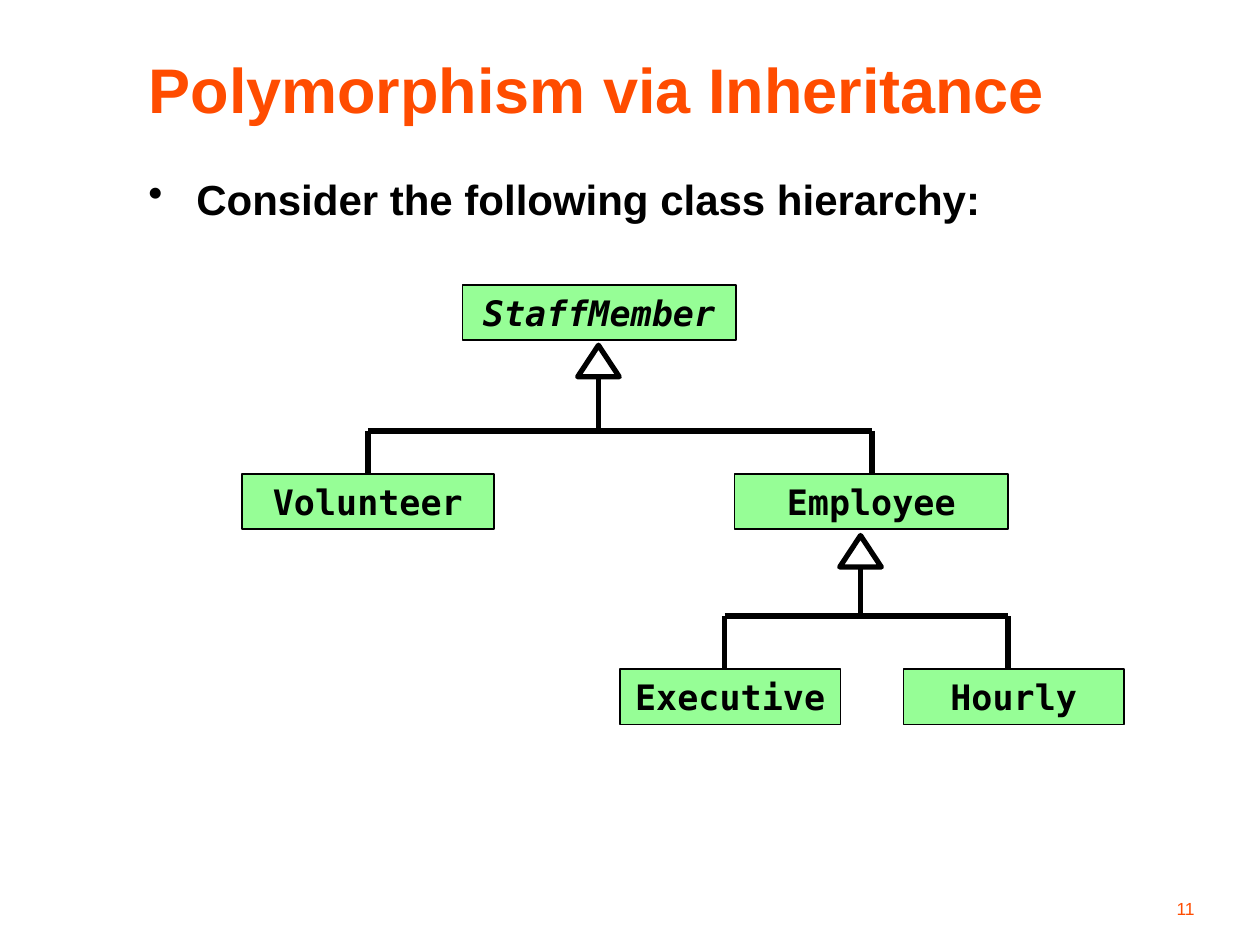
import pptx
import pptx.dml.color
import pptx.enum.shapes
import pptx.enum.text
import pptx.oxml.ns
import pptx.util
from lxml import etree

Inches = pptx.util.Inches
RGBColor = pptx.dml.color.RGBColor
SHAPE = pptx.enum.shapes.MSO_SHAPE
ALIGN = pptx.enum.text.PP_ALIGN
ANCHOR = pptx.enum.text.MSO_ANCHOR
AUTO_SIZE = pptx.enum.text.MSO_AUTO_SIZE

ORANGE = RGBColor(0xFF, 0x4C, 0x00)
GREEN = RGBColor(0x96, 0xFE, 0x96)
BLACK = RGBColor(0, 0, 0)

TITLE_FONT = {"name": "Arial", "size": 36, "bold": True, "color": ORANGE}
BODY_FONT = {"name": "Arial", "size": 24, "bold": True, "color": BLACK}
CLASS_FONT = {"name": "DejaVu Sans Mono", "size": 20, "bold": True, "color": BLACK}
NUMBER_FONT = {"name": "Arial", "size": 10, "bold": False, "color": ORANGE}

CLASS_HEIGHT = 0.44
CLASSES = [
    ("StaffMember", 3.67, 2.26, 2.17, True),
    ("Executive", 4.92, 5.31, 1.75, False),
    ("Hourly", 7.17, 5.31, 1.75, False),
    ("Volunteer", 1.92, 3.76, 2, False),
    ("Employee", 5.83, 3.76, 2.17, False),
]
BRANCHES = [
    {"apex": (4.75, 2.74), "bar": 3.42, "children": (2.92, 6.92), "bottom": 3.76},
    {"apex": (6.83, 4.25), "bar": 4.89, "children": (5.75, 8), "bottom": 5.31},
]


def place(box, left, top, width, height):
    geometry = {"left": left, "top": top, "width": width, "height": height}
    for name, value in geometry.items():
        setattr(box, name, Inches(value))


def format_font(font, values):
    for name, value in values.items():
        if name == "color":
            font.color.rgb = value
        elif name == "size":
            font.size = pptx.util.Pt(value)
        else:
            setattr(font, name, value)


def write(box, text, values, align, anchor, auto_size=AUTO_SIZE.NONE):
    frame = box.text_frame
    settings = {"word_wrap": True, "vertical_anchor": anchor, "auto_size": auto_size}
    for name, value in settings.items():
        setattr(frame, name, value)
    para = frame.paragraphs[0]
    para.alignment = align
    span = para.add_run()
    span.text = text
    format_font(span.font, values)
    return para


def add_text(page, bounds, text, values, align, anchor):
    box = page.shapes.add_textbox(*map(Inches, bounds))
    return write(box, text, values, align, anchor)


def add_bullet(para):
    properties = para._p.get_or_add_pPr()
    properties.set("marL", str(Inches(0.38)))
    properties.set("indent", str(Inches(-0.38)))
    bullet = etree.SubElement(properties, pptx.oxml.ns.qn("a:buChar"))
    bullet.set("char", "•")


def add_line(page, start, end):
    line = page.shapes.add_connector(
        pptx.enum.shapes.MSO_CONNECTOR.STRAIGHT, *map(Inches, start + end)
    )
    line.line.color.rgb = BLACK
    line.line.width = pptx.util.Pt(3)
    etree.SubElement(line._element.spPr, pptx.oxml.ns.qn("a:effectLst"))


def add_outlined(page, kind, bounds, weight):
    shape = page.shapes.add_shape(kind, *map(Inches, bounds))
    shape.shadow.inherit = False
    shape.line.color.rgb = BLACK
    shape.line.width = pptx.util.Pt(weight)
    return shape


def add_branch(page, apex, bar, children, bottom):
    center, top = apex
    width, height = 0.33, 0.25
    add_line(page, (center, bar), (center, top + height))
    bounds = (center - width / 2, top, width, height)
    add_outlined(page, SHAPE.ISOSCELES_TRIANGLE, bounds, 3).fill.background()
    add_line(page, (children[0], bar), (children[-1], bar))
    for child in children:
        add_line(page, (child, bar), (child, bottom))


def add_class(page, name, left, top, width, abstract):
    box = add_outlined(page, SHAPE.RECTANGLE, (left, top, width, CLASS_HEIGHT), 1)
    box.fill.solid()
    box.fill.fore_color.rgb = GREEN
    values = {**CLASS_FONT, "italic": abstract}
    write(box, name, values, ALIGN.CENTER, ANCHOR.MIDDLE, AUTO_SIZE.SHAPE_TO_FIT_TEXT)


def main():
    deck = pptx.Presentation()
    deck.slide_width, deck.slide_height = Inches(10), Inches(7.5)
    page = deck.slides.add_slide(deck.slide_layouts[5])

    title = page.shapes.title
    place(title, 1.08, 0.33, 8.67, 0.75)
    write(title, "Polymorphism via Inheritance", TITLE_FONT, ALIGN.LEFT, ANCHOR.MIDDLE)
    body = add_text(page, (1.08, 1.33, 8.67, 5.42),
                    "Consider the following class hierarchy:",
                    BODY_FONT, ALIGN.LEFT, ANCHOR.TOP)
    add_bullet(body)

    for branch in BRANCHES:
        add_branch(page, **branch)
    for entry in CLASSES:
        add_class(page, *entry)
    add_text(page, (7.5, 6.92, 2.08, 0.42), "11", NUMBER_FONT, ALIGN.RIGHT, ANCHOR.BOTTOM)

    deck.save("out.pptx")


if __name__ == "__main__":
    main()
